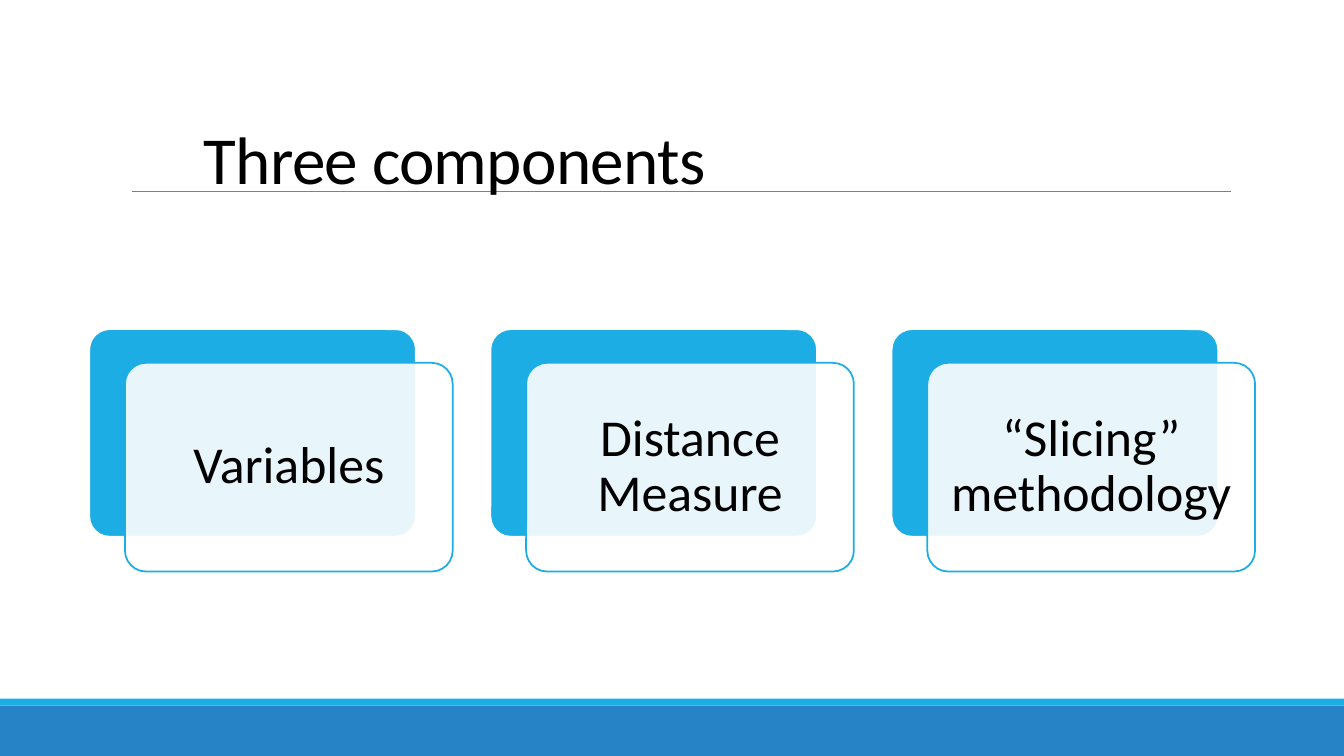
"""Build the slide that names the three components as overlapping cards."""
from typing import Any, NamedTuple

from lxml import etree
from pptx import Presentation, util as u
from pptx.dml.color import RGBColor
from pptx.enum import shapes, text
from pptx.oxml import ns

COLORS = {"sky": "1CADE4", "blue": "2683C6", "white": "FFFFFF", "rule": "808080", "ink": "000000"}
FONT = "Calibri"
WIDTH, HEIGHT = u.Inches(13.33), u.Inches(7.5)
CARD_PITCH = 29.85


class Box(NamedTuple):
    """A rectangle in percent of the slide's width and height."""
    left: float
    top: float
    width: float
    height: float

    def shifted(self, dx: float) -> "Box":
        return self._replace(left=self.left + dx)

    def lengths(self) -> tuple[int, int, int, int]:
        return across(self.left), down(self.top), across(self.width), down(self.height)


class Band(NamedTuple):
    box: Box
    color: str


BANDS = [Band(Box(0, 93.33, 100, 6.67), "blue"), Band(Box(0, 92.4, 100, 0.93), "sky")]
TITLE = Box(14.4, 11.6, 71.19, 15.33)
BACK = Box(6.6, 43.47, 24.38, 27.6)
FRONT = Box(9.3, 48, 24.38, 27.6)
CARDS = ["Variables", "Distance Measure", "“Slicing” methodology"]


def across(percent: float) -> int:
    return round(WIDTH * percent / 100)


def down(percent: float) -> int:
    return round(HEIGHT * percent / 100)


def rgb(name: str) -> RGBColor:
    return RGBColor.from_string(COLORS[name])


def write(sp: Any, words: str, *, size: float, align: Any, anchor: Any, spacing: float,
          after: float = 0, inset: float | None = None, tracking: int = 0) -> None:
    tf = sp.text_frame
    tf.word_wrap = True
    tf.auto_size = text.MSO_AUTO_SIZE.NONE
    tf.vertical_anchor = anchor
    if inset is not None:
        tf.margin_left = tf.margin_right = tf.margin_top = tf.margin_bottom = u.Inches(inset)
    p = tf.paragraphs[0]
    p.alignment, p.line_spacing, p.space_after = align, spacing, u.Pt(after)
    r = p.add_run()
    r.text = words
    r.font.name, r.font.size = FONT, u.Pt(size)
    r.font.color.rgb = rgb("ink")
    if tracking:
        r.font._element.set("spc", str(tracking))


def add_block(parent: Any, kind: Any, box: Box, fill: str, line: str | None = None,
              weight: float = 0, opacity: int = 100) -> Any:
    sp = parent.add_shape(kind, *box.lengths())
    sp.shadow.inherit = False
    sp.fill.solid()
    sp.fill.fore_color.rgb = rgb(fill)
    if opacity < 100:
        color = sp.element.spPr.find(ns.qn("a:solidFill")).find(ns.qn("a:srgbClr"))
        etree.SubElement(color, ns.qn("a:alpha")).set("val", str(opacity * 1000))
    if line:
        sp.line.color.rgb = rgb(line)
        sp.line.width = u.Pt(weight)
    else:
        sp.line.fill.background()
    return sp


def add_rule(s: Any) -> None:
    rule = s.shapes.add_connector(shapes.MSO_CONNECTOR.STRAIGHT, across(9.83), down(25.33),
                                  across(91.6), down(25.33))
    rule.line.color.rgb = rgb("rule")
    rule.line.width = u.Pt(0.5)
    etree.SubElement(rule.element.spPr, ns.qn("a:effectLst"))


def add_title(s: Any, words: str) -> None:
    title = s.shapes.title
    title.left, title.top, title.width, title.height = TITLE.lengths()
    title.element.getparent().append(title.element)
    write(title, words, size=48, align=text.PP_ALIGN.LEFT, anchor=text.MSO_ANCHOR.BOTTOM,
          spacing=0.85, tracking=-50)


def add_card(s: Any, words: str, dx: float) -> None:
    card = s.shapes.add_group_shape().shapes
    rounded = shapes.MSO_SHAPE.ROUNDED_RECTANGLE
    back = add_block(card, rounded, BACK.shifted(dx), "sky", "white", 2)
    front = add_block(card, rounded, FRONT.shifted(dx), "white", "sky", 1.25, opacity=90)
    back.adjustments[0] = front.adjustments[0] = 0.1
    write(front, words, size=37, align=text.PP_ALIGN.CENTER, anchor=text.MSO_ANCHOR.MIDDLE,
          spacing=0.9, after=13, inset=0.15)


def main() -> None:
    prs = Presentation()
    prs.slide_width, prs.slide_height = WIDTH, HEIGHT
    s = prs.slides.add_slide(prs.slide_layouts.get_by_name("Title Only"))
    for band in BANDS:
        add_block(s.shapes, shapes.MSO_SHAPE.RECTANGLE, band.box, band.color)
    add_rule(s)
    add_title(s, "Three components")
    for i, words in enumerate(CARDS):
        add_card(s, words, i * CARD_PITCH)
    prs.save("out.pptx")


if __name__ == "__main__":
    main()
